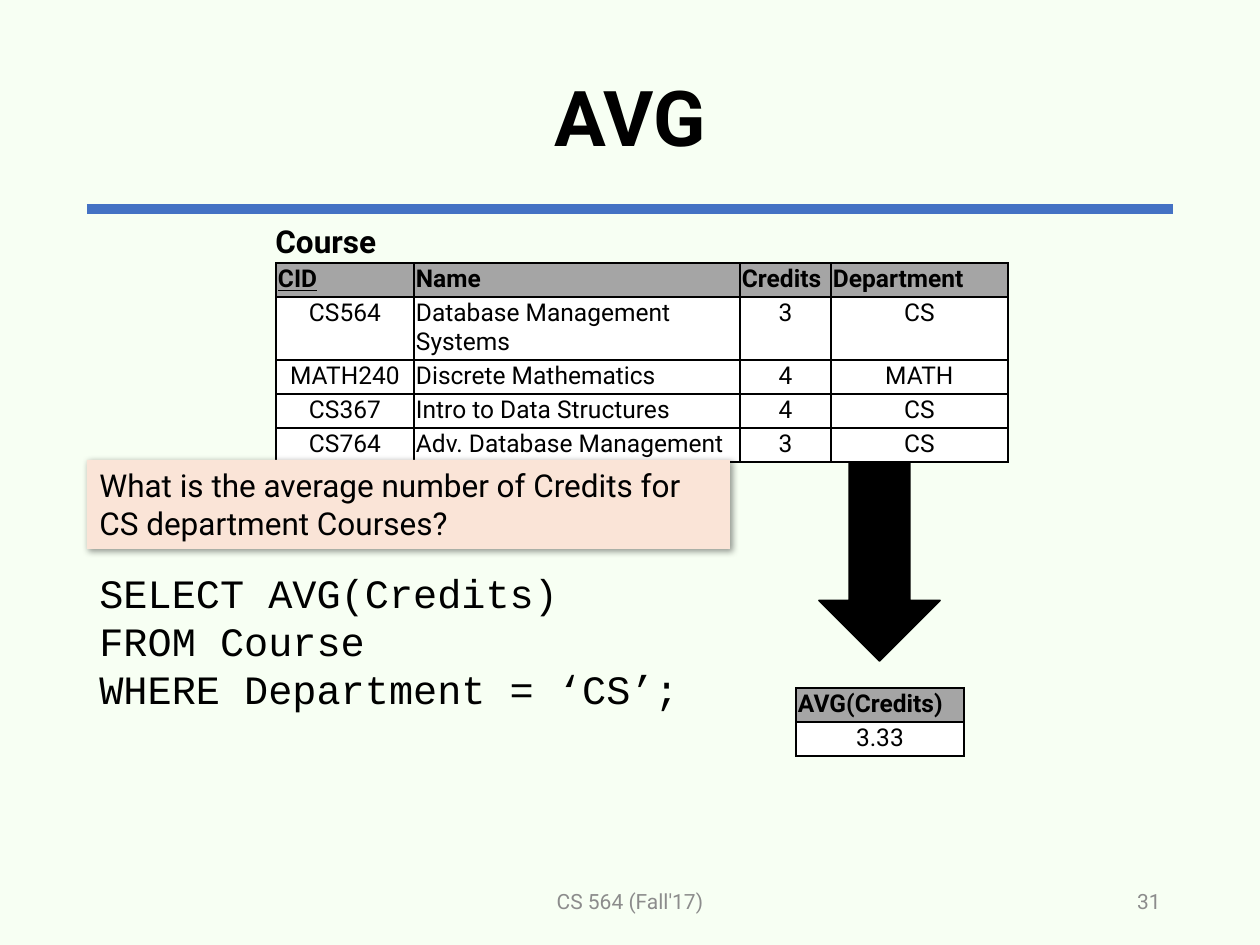
from dataclasses import dataclass

from lxml import etree
from pptx import Presentation
from pptx import util as u
from pptx.dml.color import RGBColor
from pptx.enum import shapes, text
from pptx.oxml import parse_xml
from pptx.oxml.ns import nsdecls, qn

EMU_PER_PX = 914400 / 126
LEFT, CENTER, RIGHT = text.PP_ALIGN.LEFT, text.PP_ALIGN.CENTER, text.PP_ALIGN.RIGHT


def px(n):
    return u.Emu(round(n * EMU_PER_PX))


@dataclass(frozen=True)
class Theme:
    background: str = "F7FFF3"
    ink: str = "000000"
    muted: str = "8C8C8C"
    rule: str = "4472C4"
    header: str = "A5A5A5"
    cell: str = "FFFFFF"
    question: str = "FAE4D7"
    body_font: str = "Roboto"
    code_font: str = "Courier New"
    title_size: int = 44
    code_size: int = 23
    label_size: int = 18
    table_size: int = 14
    footer_size: int = 12


class SlideBuilder:
    def __init__(self, slide, theme):
        self.s, self.theme = slide, theme
        self.paint(slide.background.fill, theme.background)

    def paint(self, fill, color):
        fill.solid()
        fill.fore_color.rgb = RGBColor.from_string(color)

    def add_lines(self, tf, lines, align=LEFT, color=None, spacing=None, **fmt):
        fmt = {"name": self.theme.body_font, "size": self.theme.label_size, **fmt}
        fmt["size"] = u.Pt(fmt["size"])
        for i, line in enumerate(lines):
            p = tf.add_paragraph() if i else tf.paragraphs[0]
            p.alignment = align
            if spacing:
                p.line_spacing = spacing
            r = p.add_run()
            r.text = line
            for key, value in fmt.items():
                setattr(r.font, key, value)
            r.font.color.rgb = RGBColor.from_string(color or self.theme.ink)

    def textbox(self, box, lines, anchor=text.MSO_ANCHOR.TOP, wrap=True, **fmt):
        tf = self.s.shapes.add_textbox(*map(px, box)).text_frame
        tf.word_wrap, tf.vertical_anchor = wrap, anchor
        self.add_lines(tf, lines, **fmt)

    def rule(self, x1, x2, y, width):
        line = self.s.shapes.add_connector(
            shapes.MSO_CONNECTOR.STRAIGHT, px(x1), px(y), px(x2), px(y))
        line.line.color.rgb = RGBColor.from_string(self.theme.rule)
        line.line.width = u.Pt(width)
        etree.SubElement(line._element.spPr, qn("a:effectLst"))

    def shape(self, kind, box, fill, outline=None):
        sp = self.s.shapes.add_shape(kind, *map(px, box))
        sp.shadow.inherit = False
        self.paint(sp.fill, fill)
        if outline:
            self.paint(sp.line.fill, outline)
            sp.line.width = u.Pt(1)
        else:
            sp.line.fill.background()
        return sp

    def callout(self, box, line):
        sp = self.shape(shapes.MSO_SHAPE.RECTANGLE, box, self.theme.question)
        sp._element.spPr.find(qn("a:effectLst")).append(parse_xml(
            f'<a:outerShdw {nsdecls("a")} blurRad="{u.Pt(4)}" dist="{u.Pt(1)}" '
            f'dir="2700000" algn="tl" rotWithShape="0">'
            f'<a:srgbClr val="{self.theme.ink}"><a:alpha val="40000"/></a:srgbClr>'
            f'</a:outerShdw>'))
        tf = sp.text_frame
        tf.word_wrap, tf.vertical_anchor = True, text.MSO_ANCHOR.TOP
        self.add_lines(tf, [line])

    def border(self, cell):
        for side in "LRTB":
            cell._tc.get_or_add_tcPr().append(parse_xml(
                f'<a:ln{side} {nsdecls("a")} w="{u.Pt(1)}"><a:solidFill>'
                f'<a:srgbClr val="{self.theme.ink}"/></a:solidFill></a:ln{side}>'))

    def table(self, x, y, widths, heights, rows, left_cols=(), key_col=None):
        table = self.s.shapes.add_table(
            len(rows), len(widths), px(x), px(y),
            px(sum(widths)), px(sum(heights))).table
        table.first_row = table.horz_banding = False
        for col, width in zip(table.columns, widths):
            col.width = px(width)
        for row, height in zip(table.rows, heights):
            row.height = px(height)
        for i, values in enumerate(rows):
            for j, value in enumerate(values):
                cell, head = table.cell(i, j), i == 0
                for side in ("left", "right", "top", "bottom"):
                    setattr(cell, f"margin_{side}", px(2))
                self.border(cell)
                self.paint(cell.fill, self.theme.header if head else self.theme.cell)
                self.add_lines(cell.text_frame, [value],
                               align=LEFT if head or j in left_cols else CENTER,
                               size=self.theme.table_size, bold=head,
                               underline=head and j == key_col)


def main():
    prs = Presentation()
    prs.slide_width, prs.slide_height = u.Inches(10), u.Inches(7.5)
    theme = Theme()
    s = SlideBuilder(prs.slides.add_slide(prs.slide_layouts[6]), theme)
    middle = text.MSO_ANCHOR.MIDDLE

    # Title and rule
    s.rule(87, 1173, 209, 6)
    s.textbox((87, 30, 1086, 183), ["AVG"], anchor=middle, align=CENTER,
              size=theme.title_size, bold=True, spacing=0.9)

    # Footer and slide number
    footer = {"anchor": middle, "size": theme.footer_size, "color": theme.muted}
    s.textbox((417, 876, 426, 50), ["CS 564 (Fall'17)"], align=CENTER, **footer)
    s.textbox((890, 876, 283, 50), ["31"], align=RIGHT, **footer)

    # Query
    s.textbox((87, 562, 756, 174),
              ["SELECT AVG(Credits)", "FROM Course", "WHERE Department = ‘CS’;"],
              name=theme.code_font, size=theme.code_size)

    # Arrow from the course table to the result
    s.shape(shapes.MSO_SHAPE.DOWN_ARROW, (819, 462, 121, 199), theme.ink, theme.ink)

    # Course table
    s.table(276, 263, [138, 326, 91, 177], [34, 63, 34, 34, 34], [
        ("CID", "Name", "Credits", "Department"),
        ("CS564", "Database Management Systems", "3", "CS"),
        ("MATH240", "Discrete Mathematics", "4", "MATH"),
        ("CS367", "Intro to Data Structures", "4", "CS"),
        ("CS764", "Adv. Database Management", "3", "CS"),
    ], left_cols=(1,), key_col=0)
    s.textbox((263, 216, 127, 50), ["Course"], wrap=False, bold=True)

    # Result table
    s.table(796, 688, [168], [34, 34], [("AVG(Credits)",), ("3.33",)])

    # Question
    s.callout((87, 460, 643, 89),
              "What is the average number of Credits for CS department Courses?")

    prs.save("out.pptx")


if __name__ == "__main__":
    main()
